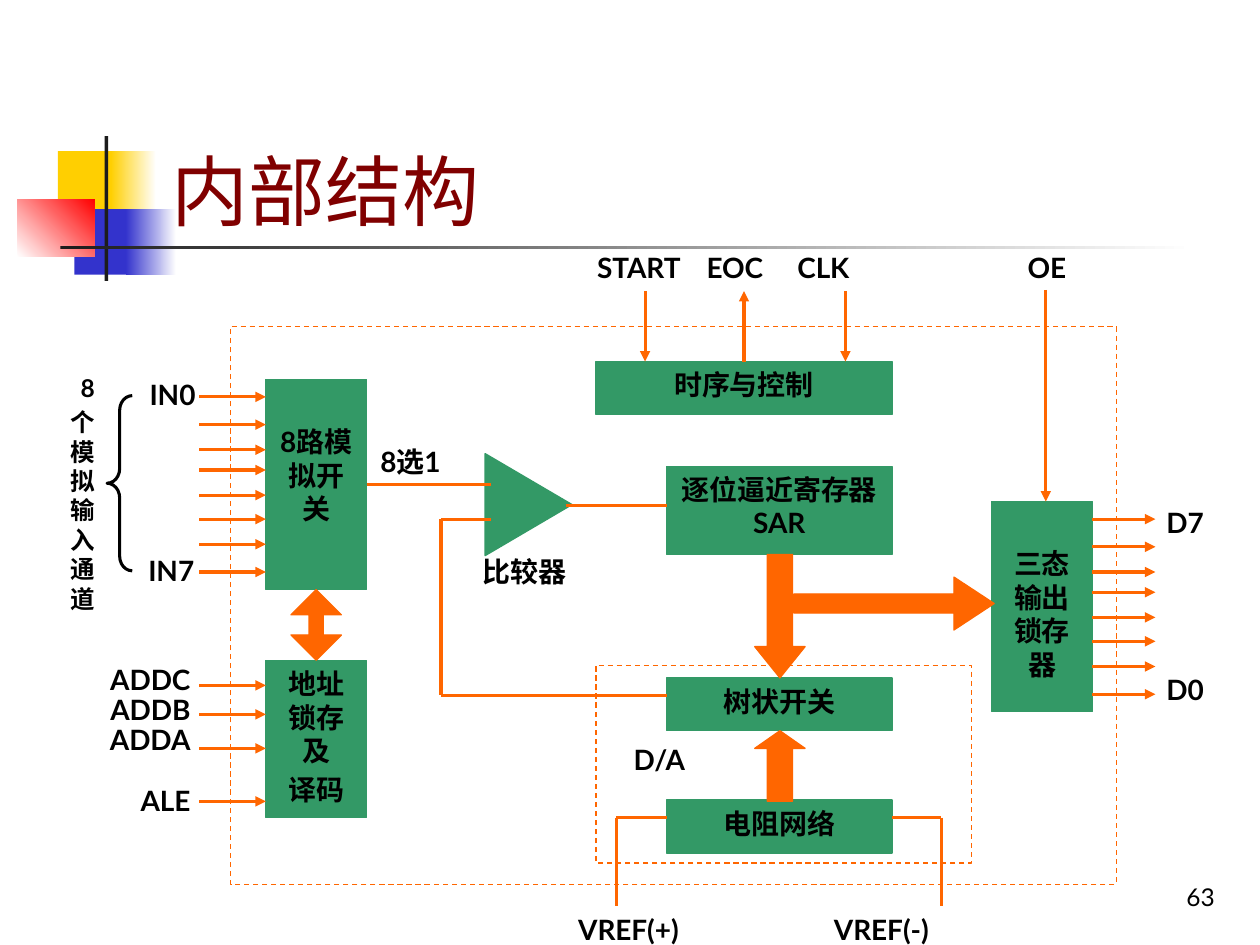
from dataclasses import dataclass
from typing import Optional

from lxml.etree import SubElement
from pptx import Presentation
from pptx.dml.color import RGBColor
from pptx.enum.dml import MSO_LINE_DASH_STYLE as Dash
from pptx.enum.shapes import MSO_CONNECTOR as Connector, MSO_SHAPE as Preset
from pptx.enum.text import MSO_ANCHOR as Anchor, PP_ALIGN as Align
from pptx.oxml.ns import qn
from pptx.util import Inches, Pt

# The slide is a grid of 100 columns by 75 rows of square cells.
CELL = Inches(0.1)
COLUMNS, ROWS = 100, 75


@dataclass(frozen=True)
class Theme:
    font: str = "Lato"
    ink: str = "000000"
    title: str = "800000"
    block: str = "339966"
    signal: str = "FF6600"
    white: str = "FFFFFF"
    yellow: str = "FFCF01"
    blue: str = "3333CC"
    red: str = "FF0000"
    bar: str = "1C1C1C"
    title_size: int = 44
    label_size: int = 16
    small_size: int = 14
    thin: float = 0.75
    thick: float = 1.75


THEME = Theme()


@dataclass(frozen=True)
class Area:
    col: float
    row: float
    cols: float
    rows: float

    def lengths(self) -> list[int]:
        return [cells(n) for n in (self.col, self.row, self.cols, self.rows)]


@dataclass(frozen=True)
class Label:
    text: str
    area: Area
    align: Align = Align.LEFT
    size: int = THEME.label_size
    bold: bool = True
    spacing: Optional[float] = None
    gap: float = 0
    anchor: Anchor = Anchor.TOP


@dataclass(frozen=True)
class Block:
    text: str
    area: Area
    inset: float = 0.5


@dataclass(frozen=True)
class Wire:
    start: tuple[float, float]
    end: tuple[float, float]
    arrow: bool = False


def cells(count: float) -> int:
    return round(count * CELL)


def rgb(value: str) -> RGBColor:
    return RGBColor.from_string(value)


def write(frame, text: str, align: Align, size: int, color: str = THEME.ink,
          bold: bool = True, spacing: Optional[float] = None, gap: float = 0) -> None:
    """Fill a text frame, one paragraph per line of text."""
    frame.word_wrap = True
    for index, line in enumerate(text.split("\n")):
        para = frame.paragraphs[0] if index == 0 else frame.add_paragraph()
        para.text = line
        para.alignment = align
        para.space_before = Pt(gap if index else 0)
        if spacing:
            para.line_spacing = spacing
        para.font.name, para.font.size, para.font.bold = THEME.font, Pt(size), bold
        para.font.color.rgb = rgb(color)


def add_figure(page, preset: Preset, area: Area, fill: Optional[str] = None,
               line: Optional[str] = None, width: float = THEME.thin, adjust=()):
    shape = page.shapes.add_shape(preset, *area.lengths())
    shape.shadow.inherit = False
    if fill:
        shape.fill.solid()
        shape.fill.fore_color.rgb = rgb(fill)
    else:
        shape.fill.background()
    if line:
        shape.line.color.rgb = rgb(line)
        shape.line.width = Pt(width)
    else:
        shape.line.fill.background()
    for index, value in enumerate(adjust):
        shape.adjustments[index] = value
    return shape


def add_fade(page, area: Area, first: str, last: str, angle: float = 0) -> None:
    shape = add_figure(page, Preset.RECTANGLE, area)
    shape.fill.gradient()
    shape.fill.gradient_angle = angle
    for stop, color in zip(shape.fill.gradient_stops, (first, last)):
        stop.color.rgb = rgb(color)


def add_block(page, block: Block):
    shape = add_figure(page, Preset.RECTANGLE, block.area, THEME.block, THEME.block)
    frame = shape.text_frame
    frame.vertical_anchor = Anchor.TOP
    frame.margin_top = cells(block.inset)
    write(frame, block.text, Align.CENTER, THEME.label_size, gap=3.2)
    return shape


def add_label(page, label: Label) -> None:
    frame = page.shapes.add_textbox(*label.area.lengths()).text_frame
    frame.vertical_anchor = label.anchor
    write(frame, label.text, label.align, label.size, bold=label.bold,
          spacing=label.spacing, gap=label.gap)


def add_wire(page, wire: Wire):
    ends = [cells(n) for n in (*wire.start, *wire.end)]
    line = page.shapes.add_connector(Connector.STRAIGHT, *ends)
    line.line.color.rgb = rgb(THEME.signal)
    line.line.width = Pt(THEME.thick)
    if wire.arrow:
        SubElement(line.line._get_or_add_ln(), qn("a:tailEnd"), type="triangle")
    SubElement(line._element.spPr, qn("a:effectLst"))
    return line


def add_decoration(page) -> None:
    add_figure(page, Preset.RECTANGLE, Area(4.6, 12, 4.8, 5.2), THEME.yellow)
    add_fade(page, Area(8.8, 12, 3.6, 5.2), THEME.yellow, THEME.white)
    add_figure(page, Preset.RECTANGLE, Area(5.9, 16.6, 4.6, 5.2), THEME.blue)
    add_fade(page, Area(10, 16.6, 4, 5.2), THEME.blue, THEME.white)
    add_fade(page, Area(1.4, 15.8, 6.1, 4.6), THEME.white, THEME.red, angle=45)
    add_figure(page, Preset.RECTANGLE, Area(8.3, 10.8, 0.3, 11.5), THEME.bar)
    add_fade(page, Area(4.8, 19.5, 90, 0.3), THEME.bar, THEME.white)


SWITCH = Block("8路模拟开关", Area(21.1, 30.1, 8, 16.7), inset=3.6)
CONTROL = Block("时序与控制", Area(47.3, 28.7, 23.5, 4.2))
OTHER_BLOCKS = [
    Block("逐位逼近寄存器SAR", Area(52.9, 37, 17.9, 7)),
    Block("树状开关", Area(52.9, 53.8, 17.9, 4.2)),
    Block("电阻网络", Area(52.9, 63.5, 17.9, 4.2)),
    Block("三态输出锁存器", Area(78.7, 39.8, 8, 16.7), inset=3.6),
    Block("地址锁存及\n译码", Area(21.1, 52.4, 8, 12.5)),
]
FRAMES = [Area(18.3, 25.9, 70.3, 44.3), Area(47.3, 52.8, 29.8, 15.7)]
BUS_ARROWS = [
    (Preset.UP_ARROW, Area(59.9, 58, 4, 5.6), (0.5, 0.35)),
    (Preset.DOWN_ARROW, Area(59.9, 44, 4, 9.8), (0.5, 0.62)),
    (Preset.RIGHT_ARROW, Area(63, 45.8, 15.9, 4.2), (0.36, 0.76)),
    (Preset.UP_DOWN_ARROW, Area(23.1, 46.8, 4, 5.6), (0.5, 0.28)),
]
LABELS = [
    Label("IN0", Area(8.5, 29.5, 8, 4.2), Align.RIGHT),
    Label("IN7", Area(8.4, 43.4, 8, 4.2), Align.RIGHT),
    Label("8\n个模拟输入通道", Area(4.6, 29.1, 3.9, 21.7), Align.RIGHT,
          THEME.small_size, gap=2.8),
    Label("START", Area(46.4, 19.4, 9, 4.2)),
    Label("EOC", Area(55.1, 19.4, 7, 4.2)),
    Label("CLK", Area(62.3, 19.4, 7, 4.2)),
    Label("OE", Area(79.1, 19.4, 8, 4.2), Align.CENTER),
    Label("D7", Area(90.9, 39.6, 6.3, 4.2), Align.CENTER),
    Label("D0", Area(90.9, 52.9, 6.3, 4.2), Align.CENTER),
    Label("VREF(+)", Area(44.9, 71.9, 12, 3.1)),
    Label("VREF(-)", Area(65.2, 71.9, 12, 3.1)),
    Label("ADDC\nADDB\nADDA", Area(6.2, 52.4, 9.9, 8), Align.RIGHT, spacing=0.9),
    Label("ALE", Area(6.2, 61.7, 9.9, 4.2), Align.RIGHT),
    Label("比较器", Area(37.3, 43.5, 9.9, 4.1)),
    Label("D/A", Area(49.3, 58.4, 8, 4.2)),
    Label("8选1", Area(29.2, 34.8, 9.9, 4.1)),
    Label("63", Area(76.6, 67.8, 20.8, 5), Align.RIGHT, THEME.small_size,
          bold=False, anchor=Anchor.BOTTOM),
]
CHANNEL_STEPS = (0, 2.2, 4.2, 5.8, 7.8, 9.7, 11.7, 13.9)
ADDRESS_ROWS = (54.4, 56.7, 59.4, 63.6)
WIRES = [
    *(Wire((15.8, 31.5 + step), (21.1, 31.5 + step), True) for step in CHANNEL_STEPS),
    *(Wire((86.7, 41.2 + step), (91.7, 41.2 + step), True) for step in CHANNEL_STEPS),
    *(Wire((15.8, row), (21.1, row), True) for row in ADDRESS_ROWS),
    *(Wire((col, 23.1), (col, 28.7), True) for col in (51.2, 67.1)),
    Wire((83, 23), (83, 39.8), True),
    Wire((44.9, 40.1), (52.9, 40.1)),
    Wire((35, 41.2), (39, 41.2)),
    Wire((35, 41.2), (35, 55.2)),
    Wire((35, 55.2), (52.9, 55.2)),
    Wire((48.9, 64.9), (52.9, 64.9)),
    Wire((70.8, 64.9), (74.7, 64.9)),
    *(Wire((col, 64.9), (col, 71.9)) for col in (48.9, 74.7)),
]


def main() -> None:
    deck = Presentation()
    deck.slide_width, deck.slide_height = cells(COLUMNS), cells(ROWS)
    page = deck.slides.add_slide(deck.slide_layouts[5])
    add_decoration(page)

    title = page.shapes.title
    title.left, title.top, title.width, title.height = Area(12.6, 3.2, 30.3, 16).lengths()
    title.text_frame.vertical_anchor = Anchor.BOTTOM
    write(title.text_frame, "内部结构", Align.LEFT, THEME.title_size, THEME.title, bold=False)

    for area in FRAMES:
        frame = add_figure(page, Preset.RECTANGLE, area, line=THEME.signal)
        frame.line.dash_style = Dash.DASH
    add_figure(page, Preset.LEFT_BRACE, Area(8.5, 31.4, 2, 13.9), line=THEME.ink,
               width=THEME.thick, adjust=(0.58, 0.5))
    comparator = add_figure(page, Preset.ISOSCELES_TRIANGLE, Area(37.9, 36.6, 8.1, 6.9),
                            THEME.block, THEME.block)
    comparator.rotation = 90

    switch, control = add_block(page, SWITCH), add_block(page, CONTROL)
    for block in OTHER_BLOCKS:
        add_block(page, block)
    for preset, area, adjust in BUS_ARROWS:
        add_figure(page, preset, area, THEME.signal, THEME.signal, adjust=adjust)
    add_figure(page, Preset.RECTANGLE, Area(61.8, 47.4, 4.7, 1.2), THEME.signal)

    for wire in WIRES:
        add_wire(page, wire)
    add_wire(page, Wire((29.1, 38.45), (39, 38.45))).begin_connect(switch, 3)
    add_wire(page, Wire((59.05, 28.7), (59.05, 23.1), True)).begin_connect(control, 0)
    for label in LABELS:
        add_label(page, label)
    deck.save("out.pptx")


if __name__ == "__main__":
    main()
